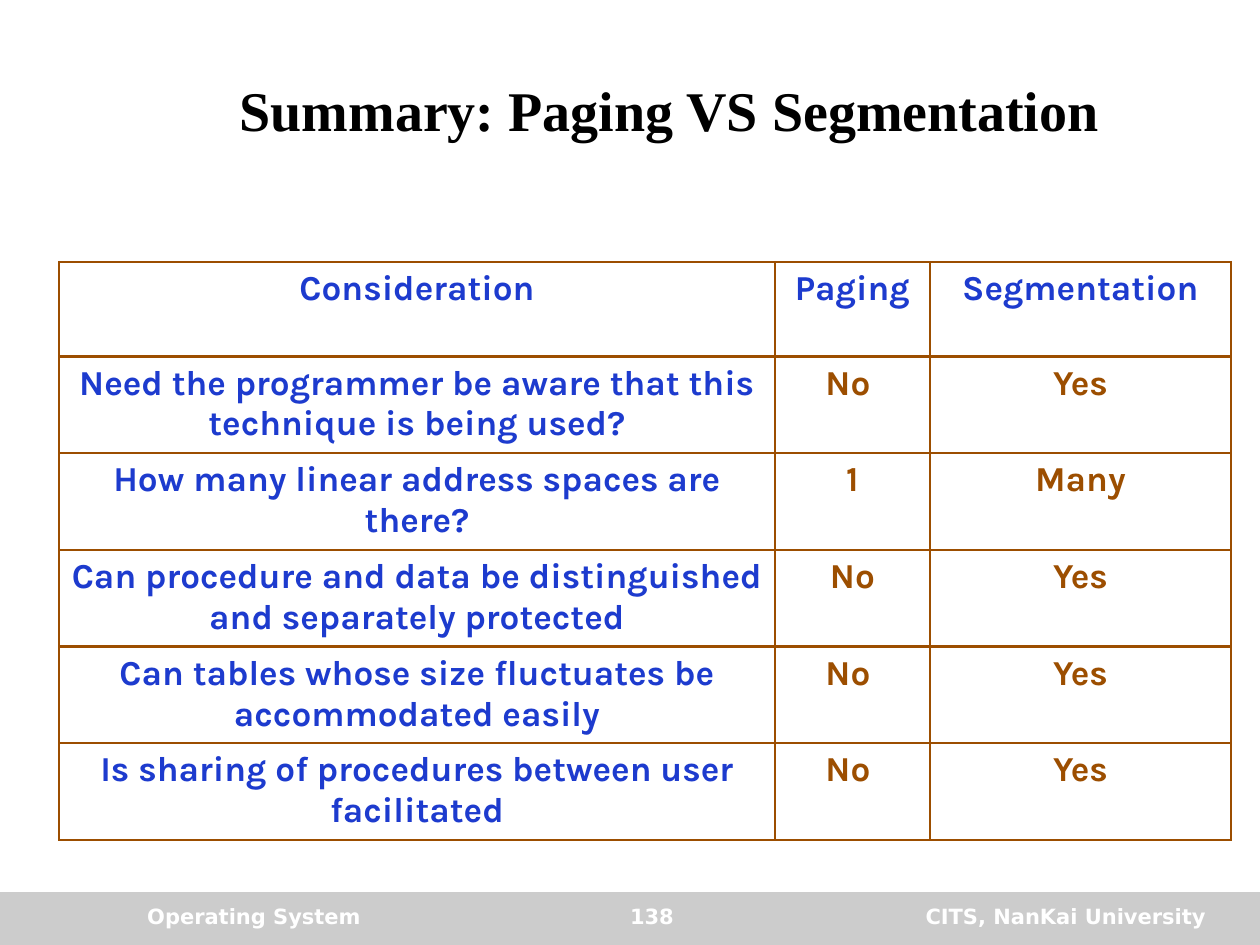
from lxml.etree import SubElement
from pptx import Presentation
from pptx.dml.color import RGBColor
from pptx.enum.shapes import MSO_SHAPE as Shape
from pptx.enum.text import MSO_ANCHOR as Anchor, PP_ALIGN as Align
from pptx.oxml.ns import qn
from pptx.util import Inches, Pt

BLACK = RGBColor(0x00, 0x00, 0x00)
WHITE = RGBColor(0xFF, 0xFF, 0xFF)
GREY = RGBColor(0xCC, 0xCC, 0xCC)
BLUE = RGBColor(0x1D, 0x3B, 0xCE)
BROWN = RGBColor(0x9C, 0x4E, 0x00)

COLUMN_WIDTHS = [5.68, 1.23, 2.39]
ROW_HEIGHT = 0.75
COMPARISON = [
    ("Consideration", "Paging", "Segmentation"),
    ("Need the programmer be aware that this technique is being used?", "No ", "Yes"),
    ("How many linear address spaces are there?", "1", "Many"),
    ("Can procedure and data be distinguished and separately protected", "No", "Yes"),
    ("Can tables whose size fluctuates be accommodated easily", "No ", "Yes"),
    ("Is sharing of procedures between user facilitated", "No ", "Yes"),
]
FOOTERS = [
    ("Operating System", 1.07, 2.75, Align.LEFT),
    ("138", 4.01, 2.33, Align.CENTER),
    ("CITS, NanKai University", 6.5, 3.17, Align.RIGHT),
]


class SlideBuilder:
    """Holds the style and the current slide."""

    title_font, table_font, footer_font = "Times New Roman", "Karla", "DejaVu Sans"
    border_width = Pt(1.5)

    def __init__(self, page):
        self.page = page

    def set_text(self, frame, text, font, size, color, align):
        frame.word_wrap = True
        para = frame.paragraphs[0]
        para.text = text
        para.alignment = align
        para.font.name = font
        para.font.size = Pt(size)
        para.font.bold = True
        para.font.color.rgb = color

    def title(self, text, left, top, width, height):
        box = self.page.shapes.title
        box.left, box.top = Inches(left), Inches(top)
        box.width, box.height = Inches(width), Inches(height)
        box.text_frame.vertical_anchor = Anchor.MIDDLE
        self.set_text(box.text_frame, text, self.title_font, 32, BLACK, Align.CENTER)

    def bar(self, left, top, width, height):
        bar = self.page.shapes.add_shape(
            Shape.RECTANGLE, Inches(left), Inches(top), Inches(width), Inches(height))
        bar.shadow.inherit = False
        bar.fill.solid()
        bar.fill.fore_color.rgb = GREY
        bar.line.fill.background()

    def footer(self, text, left, width, align):
        box = self.page.shapes.add_textbox(
            Inches(left), Inches(7.12), Inches(width), Inches(0.33))
        self.set_text(box.text_frame, text, self.footer_font, 12, WHITE, align)

    def border(self, cell):
        properties = cell._tc.get_or_add_tcPr()
        for side in ("a:lnL", "a:lnR", "a:lnT", "a:lnB"):
            line = SubElement(properties, qn(side), w=str(self.border_width))
            fill = SubElement(line, qn("a:solidFill"))
            SubElement(fill, qn("a:srgbClr"), val=str(BROWN))

    def table(self, rows, left, top):
        table = self.page.shapes.add_table(
            len(rows), len(COLUMN_WIDTHS), Inches(left), Inches(top),
            Inches(sum(COLUMN_WIDTHS)), Inches(ROW_HEIGHT * len(rows))).table
        table.first_row = table.horz_banding = False
        for column, width in zip(table.columns, COLUMN_WIDTHS):
            column.width = Inches(width)
        for r, texts in enumerate(rows):
            table.rows[r].height = Inches(ROW_HEIGHT)
            for c, text in enumerate(texts):
                cell = table.cell(r, c)
                self.border(cell)
                cell.fill.solid()
                cell.fill.fore_color.rgb = WHITE
                # Headings are blue, answers brown
                color = BLUE if r == 0 or c == 0 else BROWN
                self.set_text(cell.text_frame, text, self.table_font, 20, color, Align.CENTER)


def main():
    deck = Presentation()
    deck.slide_width, deck.slide_height = Inches(10), Inches(7.5)
    builder = SlideBuilder(deck.slides.add_slide(deck.slide_layouts[5]))

    # Title
    builder.title("Summary: Paging VS Segmentation", 1.06, 0.33, 8.51, 1.07)

    # Footer
    builder.bar(0, 7.08, 10, 0.42)
    for footer in FOOTERS:
        builder.footer(*footer)

    # Comparison table
    builder.table(COMPARISON, 0.47, 2.08)

    deck.save("out.pptx")


if __name__ == "__main__":
    main()
